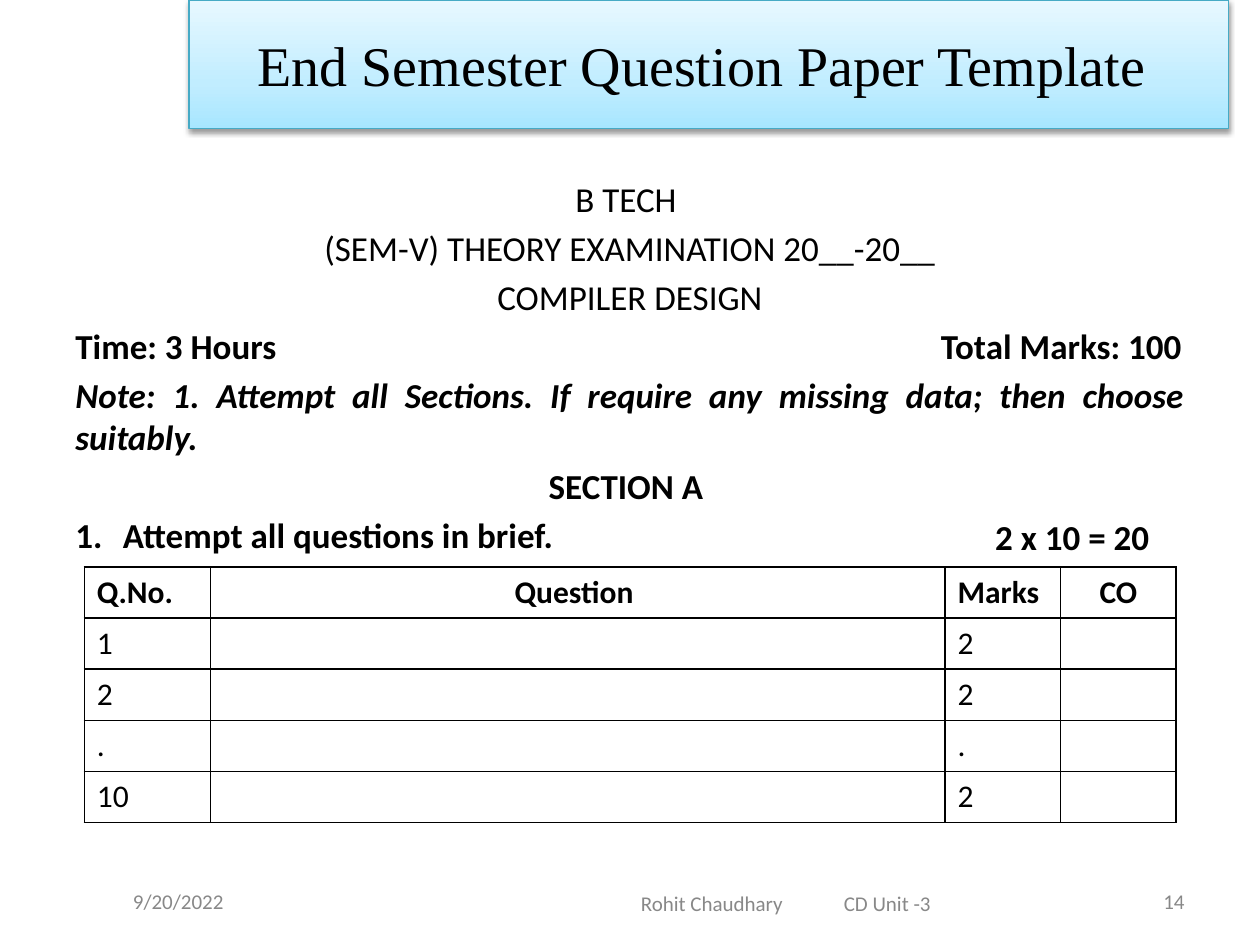
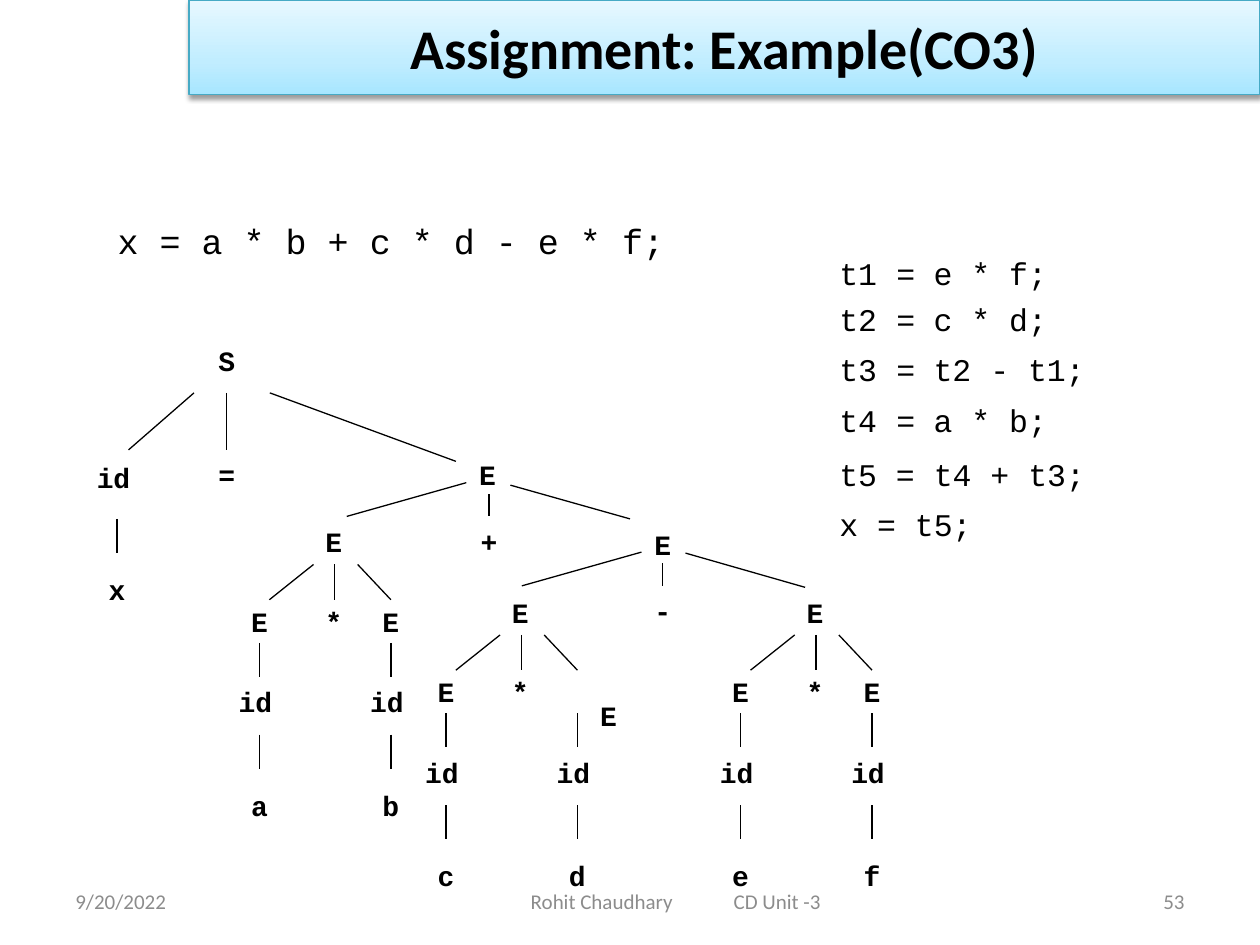
from lxml.etree import SubElement
from pptx import Presentation
from pptx.dml.color import RGBColor
from pptx.enum.shapes import MSO_CONNECTOR as Connector
from pptx.enum.text import MSO_ANCHOR as Anchor, PP_ALIGN as Align
from pptx.oxml import parse_xml
from pptx.oxml.ns import nsdecls, qn
from pptx.util import Cm, Pt

BLACK, WHITE, GREY, TEAL = "000000", "FFFFFF", "888888", "46AAC5"
BAND_STOPS = [(0, "A7E6FF"), (35, "C1EDFF"), (100, "E7F8FF")]
SANS, SERIF, MONO = "Calibri", "Times New Roman", "Courier New"

DATE = "9/20/2022"
AUTHOR_AND_UNIT = "Rohit Chaudhary\tCD Unit -3"

EXAM_LINES = [
    ("B TECH ", Align.CENTER, False, False),
    ("(SEM-V) THEORY EXAMINATION 20__-20__", Align.CENTER, False, False),
    ("COMPILER DESIGN", Align.CENTER, False, False),
    ("Time: 3 Hours\tTotal Marks: 100", Align.LEFT, True, False),
    ("Note: 1. Attempt all Sections. If require any missing data; then choose suitably.",
     Align.JUSTIFY, True, True),
    ("SECTION A ", Align.CENTER, True, False),
    ("Attempt all questions in brief.", Align.LEFT, True, False),
]
SECTION_MARKS = "2 x 10 = 20"
QUESTIONS = [
    ("Q.No.", "Question ", "Marks", "CO"),
    ("1", "", "2", ""),
    ("2", "", "2", ""),
    (".", "", ".", ""),
    ("10", "", "2", ""),
]
QUESTION_WIDTHS = [2.54, 14.81, 2.33, 2.33]

STATEMENT = "x = a * b + c * d - e * f;"
ADDRESS_CODE = [
    ("t1", "=", "e * f;"),
    ("t2", "=", "c * d;"),
    ("t3", "=", "t2 - t1;"),
    ("t4", "=", "a * b;"),
]
ADDRESS_WIDTHS = [1.04, 0.76, 3.33]
ADDRESS_HEIGHTS = [0.86, 1.02, 1.02, 0.86]
LAST_CODE = [("t5 = t4 + t3;", 9.12), ("x = t5;", 10.13)]

NODES = [
    ("S", 4.57, 6.86), ("id", 2.29, 9.22), ("=", 4.57, 9.17), ("E", 9.83, 9.17),
    ("x", 2.36, 11.48), ("+", 9.86, 10.52), ("E", 13.36, 10.57), ("-", 13.36, 11.91),
]
BRANCHES = [
    (3.91, 7.92, 2.59, 9.07), (4.57, 7.92, 4.57, 9.07), (5.44, 7.92, 9.19, 9.3),
    (2.36, 10.46, 2.36, 11.15),
    (9.4, 9.73, 6.99, 10.41), (9.86, 9.96, 9.86, 10.41), (10.29, 9.78, 12.7, 10.46),
    (12.93, 11.13, 10.52, 11.81), (13.36, 11.35, 13.36, 11.81),
    (13.82, 11.15, 16.23, 11.84),
]
PRODUCTS = [("ab", 6.73, 10.52), ("cd", 10.49, 11.94), ("ef", 16.43, 11.94)]
FACTOR_OFFSETS = [-1.5, 1.15]
FAN = [(-0.41, -1.3), (0.02, 0.02), (0.48, 1.15)]
STEMS = [(2.44, 3.12), (4.29, 4.98)]
FACTOR_SHIFTS = {"d": (0.63, 0.48)}


def color(value):
    return RGBColor.from_string(value)


def style(para, font, size, ink=BLACK, bold=False, italic=False):
    for span in para.runs:
        span.font.name, span.font.size = font, Pt(size)
        span.font.bold, span.font.italic = bold, italic
        span.font.color.rgb = color(ink)


def add_tab(para, position, side="l"):
    tabs = SubElement(para._p.get_or_add_pPr(), qn("a:tabLst"))
    SubElement(tabs, qn("a:tab"), pos=str(Cm(position)), algn=side)


def add_text(page, text, left, top, width, height, font, size,
             align=Align.LEFT, anchor=Anchor.TOP, flush=False, **look):
    box = page.shapes.add_textbox(Cm(left), Cm(top), Cm(width), Cm(height))
    frame = box.text_frame
    frame.text = text
    frame.word_wrap = True
    frame.vertical_anchor = anchor
    if flush:
        frame.margin_left = frame.margin_right = frame.margin_bottom = 0
        frame.margin_top = Cm(0.06)
    para = frame.paragraphs[0]
    para.alignment = align
    style(para, font, size, **look)
    return para


def add_line(page, x1, y1, x2, y2):
    line = page.shapes.add_connector(Connector.STRAIGHT, Cm(x1), Cm(y1), Cm(x2), Cm(y2))
    line.line.color.rgb = color(BLACK)
    line.line.width = Pt(0.75)
    SubElement(line._element.spPr, qn("a:effectLst"))


def add_title(page, text, width, height, font, bold):
    title = page.shapes.title
    title.left, title.top, title.width, title.height = Cm(3.81), 0, Cm(width), Cm(height)
    title.fill.gradient()
    title.fill.gradient_angle = 90
    stops = title._element.spPr.find(qn("a:gradFill")).find(qn("a:gsLst"))
    for stop in list(stops):
        stops.remove(stop)
    for percent, tint in BAND_STOPS:
        stop = SubElement(stops, qn("a:gs"), pos=str(percent * 1000))
        SubElement(stop, qn("a:srgbClr"), val=tint)
    title.line.color.rgb = color(TEAL)
    title.line.width = Pt(0.75)
    title._element.spPr.append(parse_xml(
        f'<a:effectLst {nsdecls("a")}><a:outerShdw blurRad="{Pt(3.1)}" dist="{Pt(1.6)}" '
        f'dir="5400000" rotWithShape="0"><a:srgbClr val="{BLACK}"><a:alpha val="38000"/>'
        '</a:srgbClr></a:outerShdw></a:effectLst>'))
    title.text_frame.text = text
    title.text_frame.vertical_anchor = Anchor.MIDDLE
    para = title.text_frame.paragraphs[0]
    para.alignment = Align.CENTER
    style(para, font, 32, bold=bold)


def add_footer(page, number, date_left, author_left, author_top, ink):
    look = dict(height=1.02, font=SANS, size=12, anchor=Anchor.MIDDLE, ink=ink)
    add_text(page, DATE, date_left, 17.65, 4, **look)
    add_tab(add_text(page, AUTHOR_AND_UNIT, author_left, author_top, 7, **look), 4.09)
    add_text(page, number, 18.21, 17.65, 5.92, align=Align.RIGHT, **look)


def add_grid(page, rows, left, top, widths, heights):
    frame = page.shapes.add_table(len(rows), len(widths), Cm(left), Cm(top),
                                  Cm(sum(widths)), Cm(sum(heights)))
    grid = frame.table
    grid.first_row = grid.horz_banding = False
    for column, width in zip(grid.columns, widths):
        column.width = Cm(width)
    for line, height in zip(grid.rows, heights):
        line.height = Cm(height)
    for r, row in enumerate(rows):
        for c, text in enumerate(row):
            cell = grid.cell(r, c)
            cell.text = text
            yield r, c, cell, cell.text_frame.paragraphs[0]


def add_borders(cell):
    props = cell._tc.get_or_add_tcPr()
    for place, side in enumerate(("lnL", "lnR", "lnT", "lnB")):
        props.insert(place, parse_xml(
            f'<a:{side} {nsdecls("a")} w="{Pt(1)}"><a:solidFill><a:srgbClr val="{BLACK}"/>'
            f'</a:solidFill></a:{side}>'))


def add_exam_text(page):
    box = page.shapes.add_textbox(Cm(1.27), Cm(3.45), Cm(22.86), Cm(8))
    frame = box.text_frame
    frame.word_wrap = True
    for index, (text, align, bold, italic) in enumerate(EXAM_LINES):
        para = frame.add_paragraph() if index else frame.paragraphs[0]
        para.text = text
        para.alignment = align
        if index:
            para.space_before = Pt(4)
        if "\t" in text:
            add_tab(para, 22.3, "r")
        style(para, SANS, 20, bold=bold, italic=italic)
    props = para._p.get_or_add_pPr()
    props.set("marL", str(Cm(0.96)))
    props.set("indent", str(-Cm(0.96)))
    SubElement(props, qn("a:buFont"), typeface="+mj-lt")
    SubElement(props, qn("a:buAutoNum"), type="arabicPeriod")
    add_text(page, SECTION_MARKS, 18.42, 10.26, 5, 1.1, SANS, 20, Align.RIGHT, bold=True)


def build_exam_page(page):
    add_title(page, "End Semester Question Paper Template ", 20.96, 2.59, SERIF, False)
    add_exam_text(page)
    heights = [1.03] * len(QUESTIONS)
    for r, c, cell, para in add_grid(page, QUESTIONS, 1.7, 11.43, QUESTION_WIDTHS, heights):
        cell.fill.solid()
        cell.fill.fore_color.rgb = color(WHITE)
        add_borders(cell)
        if r == 0 and c in (1, 3):
            para.alignment = Align.CENTER
        style(para, SANS, 18, bold=r == 0)
    add_footer(page, "14", 2.43, 12.67, 17.7, GREY)


def add_node(page, text, centre, top):
    width = 0.4 * len(text)
    add_text(page, text, centre - width / 2, top, width, 0.72, MONO, 16,
             Align.CENTER, flush=True, bold=True)


def add_product(page, factors, centre, top):
    add_node(page, "E", centre, top)
    add_node(page, "*", centre, top + 1.6)
    for start, end in FAN:
        add_line(page, centre + start, top + 0.86, centre + end, top + 1.57)
    for name, offset in zip(factors, FACTOR_OFFSETS):
        x = centre + offset
        dx, dy = FACTOR_SHIFTS.get(name, (0, 0))
        add_node(page, "E", x + dx, top + 1.6 + dy)
        add_node(page, "id", x - 0.08, top + 3.23)
        add_node(page, name, x, top + 5.31)
        for start, end in STEMS:
            add_line(page, x, top + start, x, top + end)


def build_tree_page(page):
    add_title(page, "Assignment: Example(CO3)", 21.59, 1.91, SANS, True)
    add_text(page, STATEMENT, 2.37, 4.37, 12, 0.92, MONO, 20, flush=True)
    for node in NODES:
        add_node(page, *node)
    for branch in BRANCHES:
        add_line(page, *branch)
    for product in PRODUCTS:
        add_product(page, *product)
    cells = add_grid(page, ADDRESS_CODE, 16.84, 5.23, ADDRESS_WIDTHS, ADDRESS_HEIGHTS)
    for r, c, cell, para in cells:
        cell.fill.background()
        cell.margin_left = Cm((0.08, 0, 0.18)[c])
        cell.margin_right = cell.margin_bottom = 0
        cell.margin_top = Cm(0.06 if r else 0)
        if c == 1:
            para.alignment = Align.CENTER
        style(para, MONO, 18)
    for text, top in LAST_CODE:
        add_text(page, text, 16.92, top, 6, 0.84, MONO, 18, flush=True)
    add_footer(page, "53", 1.27, 10.45, 17.65, "8C8C8C")


def main():
    deck = Presentation()
    deck.slide_width, deck.slide_height = Cm(25.4), Cm(19.05)
    for build in (build_exam_page, build_tree_page):
        build(deck.slides.add_slide(deck.slide_layouts[5]))
    deck.save("out.pptx")


if __name__ == "__main__":
    main()
